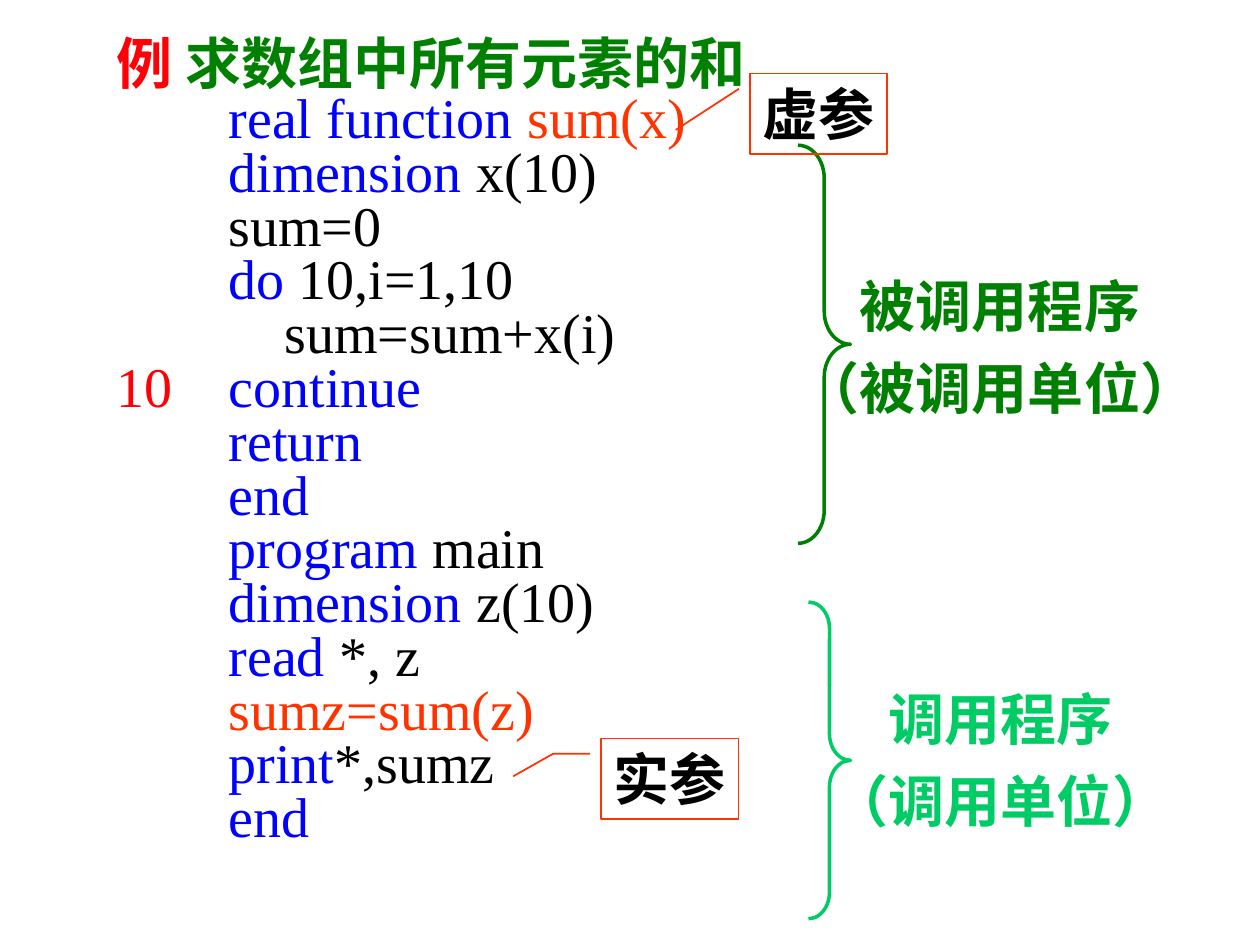
from pptx import Presentation
from pptx.dml.color import RGBColor
from pptx.enum.shapes import MSO_SHAPE
from pptx.enum.text import MSO_ANCHOR, MSO_AUTO_SIZE, PP_ALIGN
from pptx.util import Pt

BRACE = MSO_SHAPE.RIGHT_BRACE
CALLOUT_STRAIGHT = MSO_SHAPE.LINE_CALLOUT_1
CALLOUT_BENT = MSO_SHAPE.LINE_CALLOUT_2
TOP = MSO_ANCHOR.TOP
GROW = MSO_AUTO_SIZE.SHAPE_TO_FIT_TEXT
LEFT, CENTER = PP_ALIGN.LEFT, PP_ALIGN.CENTER

COLORS = {
    "red": "FF0006", "green": "008000", "keyword": "0000FF",
    "call": "FF3300", "plain": "000000", "mint": "00CC66",
}


def add_paragraph(frame, spans, first, bold, para_format):
    para = frame.paragraphs[0] if first else frame.add_paragraph()
    for name, value in para_format.items():
        setattr(para, name, value)
    for text, color in spans:
        span = para.add_run()
        span.text = text
        for name, value in {"name": "Times New Roman", "size": Pt(32), "bold": bold}.items():
            setattr(span.font, name, value)
        span.font.color.rgb = RGBColor.from_string(COLORS[color])


def add_outline(page, kind, bounds, adjustments, color, width):
    shape = page.shapes.add_shape(kind, *map(Pt, bounds))
    for index, value in enumerate(adjustments):
        shape.adjustments[index] = value
    shape.shadow.inherit = False
    shape.fill.background()
    shape.line.color.rgb = RGBColor.from_string(COLORS[color])
    shape.line.width = Pt(width)
    return shape


deck = Presentation()
deck.slide_width, deck.slide_height = Pt(720), Pt(540)
page = deck.slides.add_slide(deck.slide_layouts[6])

# Heading and program listing
INDENT = " " * 8
listing = [
    [("例 ", "red"), ("求数组中所有元素的和", "green")],
    [(INDENT + "real function", "keyword"), (" sum(x)", "call")],
    [(INDENT + "dimension ", "keyword"), ("x(10)", "plain")],
    [(INDENT + "sum=0", "plain")],
    [(INDENT + "do ", "keyword"), ("10,i=1,10", "plain")],
    [(INDENT + "    sum=sum+x(i)", "plain")],
    [("10    ", "red"), ("continue", "keyword")],
    [(INDENT + "return", "keyword")],
    [(INDENT + "end", "keyword")],
    [(INDENT + "program ", "keyword"), ("main", "plain")],
    [(INDENT + "dimension ", "keyword"), ("z(10)", "plain")],
    [(INDENT + "read ", "keyword"), ("*, z", "plain")],
    [(INDENT + "sumz=sum(z)", "call")],
    [(INDENT + "print", "keyword"), ("*,sumz", "plain")],
    [(INDENT + "end", "keyword")],
]
box = page.shapes.add_textbox(Pt(59.5), Pt(20.4), Pt(607), Pt(519.6))
box.text_frame.word_wrap = True
for row, spans in enumerate(listing):
    add_paragraph(box.text_frame, spans, row == 0, row == 0, {"line_spacing": 0.8})

# Braces with the names of the program units
units = [
    ("green", (456, 83, 30, 227.5), (451.5, 162, 240, 81),
     ["被调用程序", "（被调用单位）"]),
    ("mint", (462, 344, 24, 181), (468, 398, 208, 81),
     ["调用程序", "（调用单位）"]),
]
for color, brace_bounds, label_bounds, lines in units:
    add_outline(page, BRACE, brace_bounds, (0.63, 0.5), color, 2)
    label = page.shapes.add_textbox(*map(Pt, label_bounds))
    label.text_frame.word_wrap = True
    label.text_frame.auto_size = GROW
    for row, text in enumerate(lines):
        add_paragraph(label.text_frame, [(text, color)], row == 0, True,
                      {"alignment": CENTER, "line_spacing": 0.7,
                       "space_before": Pt(20 if row else 0)})

# Callouts for the dummy and the actual argument
callouts = [
    ("虚参", CALLOUT_STRAIGHT, (428.5, 42), (0.19, -0.08, 0.7, -0.54)),
    ("实参", CALLOUT_BENT, (343.5, 422), (0.19, -0.08, 0.19, -0.35, 0.47, -0.64)),
]
for text, kind, corner, adjustments in callouts:
    callout = add_outline(page, kind, (*corner, 78.5, 46), adjustments, "call", 1)
    frame = callout.text_frame
    for name, value in {"word_wrap": False, "auto_size": GROW, "vertical_anchor": TOP}.items():
        setattr(frame, name, value)
    add_paragraph(frame, [(text, "plain")], True, True, {"alignment": LEFT})

deck.save("out.pptx")
